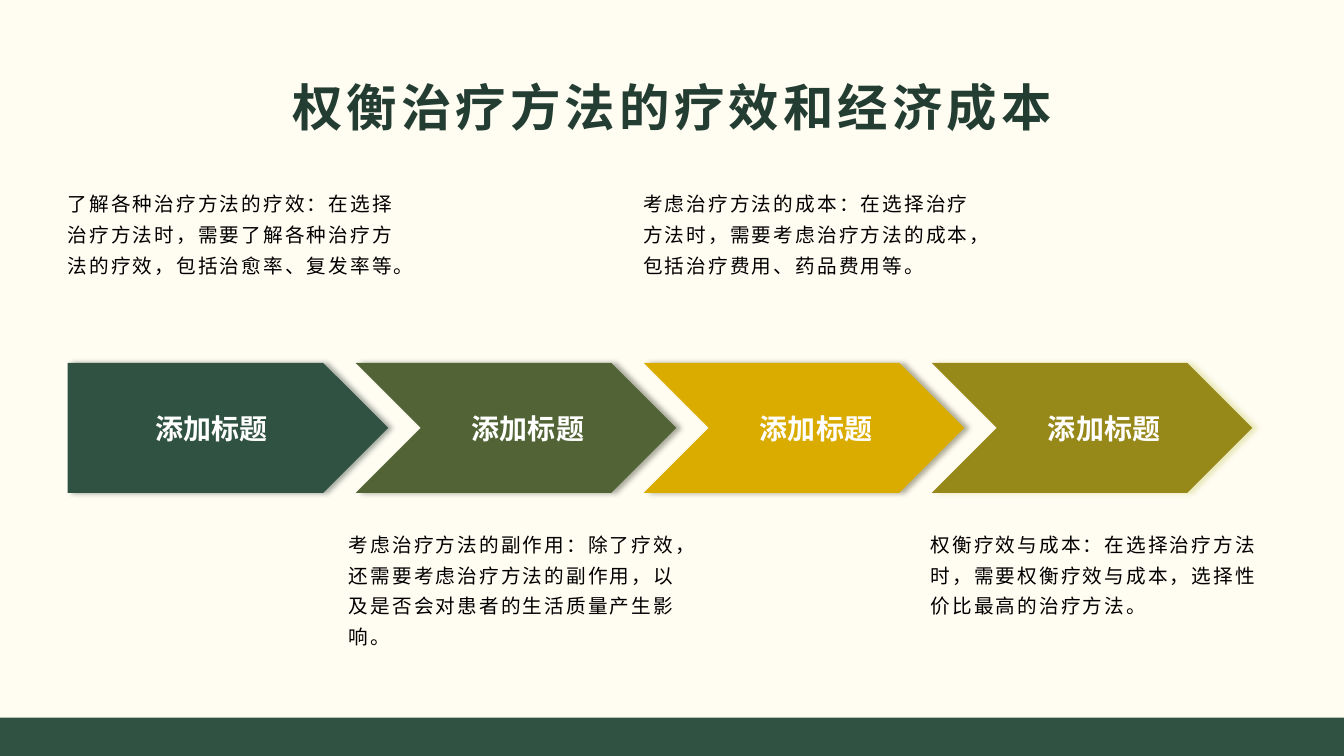
import pptx
import pptx.dml.color
import pptx.enum.shapes
import pptx.enum.text
import pptx.oxml
import pptx.oxml.ns
import pptx.util
from pptx.util import Inches

RGBColor = pptx.dml.color.RGBColor
SHAPES = pptx.enum.shapes.MSO_SHAPE
ALIGN = pptx.enum.text.PP_ALIGN
ANCHOR = pptx.enum.text.MSO_ANCHOR

FONT = "Noto Sans CJK SC"
CREAM = RGBColor(0xFF, 0xFC, 0xF2)
DARK_GREEN = RGBColor(0x24, 0x3D, 0x32)
GREEN = RGBColor(0x30, 0x52, 0x42)
OLIVE = RGBColor(0x52, 0x64, 0x35)
GOLD = RGBColor(0xDB, 0xAC, 0x00)
MUSTARD = RGBColor(0x97, 0x88, 0x1A)
WHITE = RGBColor(0xFF, 0xFF, 0xFF)
BLACK = RGBColor(0x00, 0x00, 0x00)


def write(shape, text, size, color, bold=False, spacing=0):
    """Fill a shape with one styled paragraph; spacing is in points."""
    shape.text_frame.word_wrap = True
    para = shape.text_frame.paragraphs[0]
    para.text = text
    span = para.runs[0]
    span.font.size = pptx.util.Pt(size)
    span.font.name = FONT
    span.font.bold = bold
    span.font.color.rgb = color
    props = span.font._element
    props.set("spc", str(int(spacing * 100)))
    east_asian = pptx.oxml.parse_xml(
        f'<a:ea {pptx.oxml.ns.nsdecls("a")} typeface="{FONT}"/>')
    props.find(pptx.oxml.ns.qn("a:latin")).addnext(east_asian)
    return para


def add_block(page, kind, left, top, width, height, color):
    """Add a filled shape without outline or shadow."""
    block = page.shapes.add_shape(
        kind, Inches(left), Inches(top), Inches(width), Inches(height))
    block.fill.solid()
    block.fill.fore_color.rgb = color
    block.line.fill.background()
    block.shadow.inherit = False
    return block


deck = pptx.Presentation()
deck.slide_width = Inches(13.33)
deck.slide_height = Inches(7.5)
page = deck.slides.add_slide(deck.slide_layouts[6])

# Background and footer band
page.background.fill.solid()
page.background.fill.fore_color.rgb = CREAM
add_block(page, SHAPES.RECTANGLE, 0, 7.12, 13.33, 0.38, GREEN)

# Title
title = page.shapes.add_textbox(Inches(0.67), Inches(0.67), Inches(12), Inches(0.77))
title.text_frame.vertical_anchor = ANCHOR.MIDDLE
write(title, "权衡治疗方法的疗效和经济成本", 36, DARK_GREEN, True, 3).alignment = ALIGN.CENTER

# Arrow steps: fill and shadow colours
steps = [
    (GREEN, "182921"),
    (OLIVE, "29321A"),
    (GOLD, "3A3B14"),
    (MUSTARD, "C7CA61"),
]
for index, (color, shadow_color) in enumerate(steps):
    kind = SHAPES.CHEVRON if index else SHAPES.PENTAGON
    step = add_block(page, kind, 0.67 + index * 2.857, 3.6, 3.18, 1.29, color)
    effects = step._element.spPr.find(pptx.oxml.ns.qn("a:effectLst"))
    effects.append(pptx.oxml.parse_xml(
        f'<a:outerShdw {pptx.oxml.ns.nsdecls("a")} blurRad="{pptx.util.Pt(4)}" '
        f'dist="{pptx.util.Pt(3)}" dir="0" algn="l" rotWithShape="0">'
        f'<a:srgbClr val="{shadow_color}"><a:alpha val="40000"/></a:srgbClr>'
        f'</a:outerShdw>'))
    step.text_frame.vertical_anchor = ANCHOR.MIDDLE
    if index:
        step.text_frame.margin_left = Inches(0.24)
        step.text_frame.margin_right = 0
    write(step, "添加标题", 20, WHITE, True).alignment = ALIGN.CENTER

# Descriptions, alternating above and below the arrows
descriptions = [
    (0.67, 1.79, "了解各种治疗方法的疗效：在选择治疗方法时，需要了解各种治疗方法的疗效，包括治愈率、复发率等。"),
    (3.46, 5.17, "考虑治疗方法的副作用：除了疗效，还需要考虑治疗方法的副作用，以及是否会对患者的生活质量产生影响。"),
    (6.38, 1.79, "考虑治疗方法的成本：在选择治疗方法时，需要考虑治疗方法的成本，包括治疗费用、药品费用等。"),
    (9.23, 5.17, "权衡疗效与成本：在选择治疗方法时，需要权衡疗效与成本，选择性价比最高的治疗方法。"),
]
for left, top, text in descriptions:
    box = page.shapes.add_textbox(Inches(left), Inches(top), Inches(3.43), Inches(1.5))
    box.text_frame.margin_left = 0
    para = write(box, text, 14, BLACK, spacing=1.5)
    para.line_spacing = 1.3
    para.space_after = pptx.util.Pt(10)

deck.save("out.pptx")
